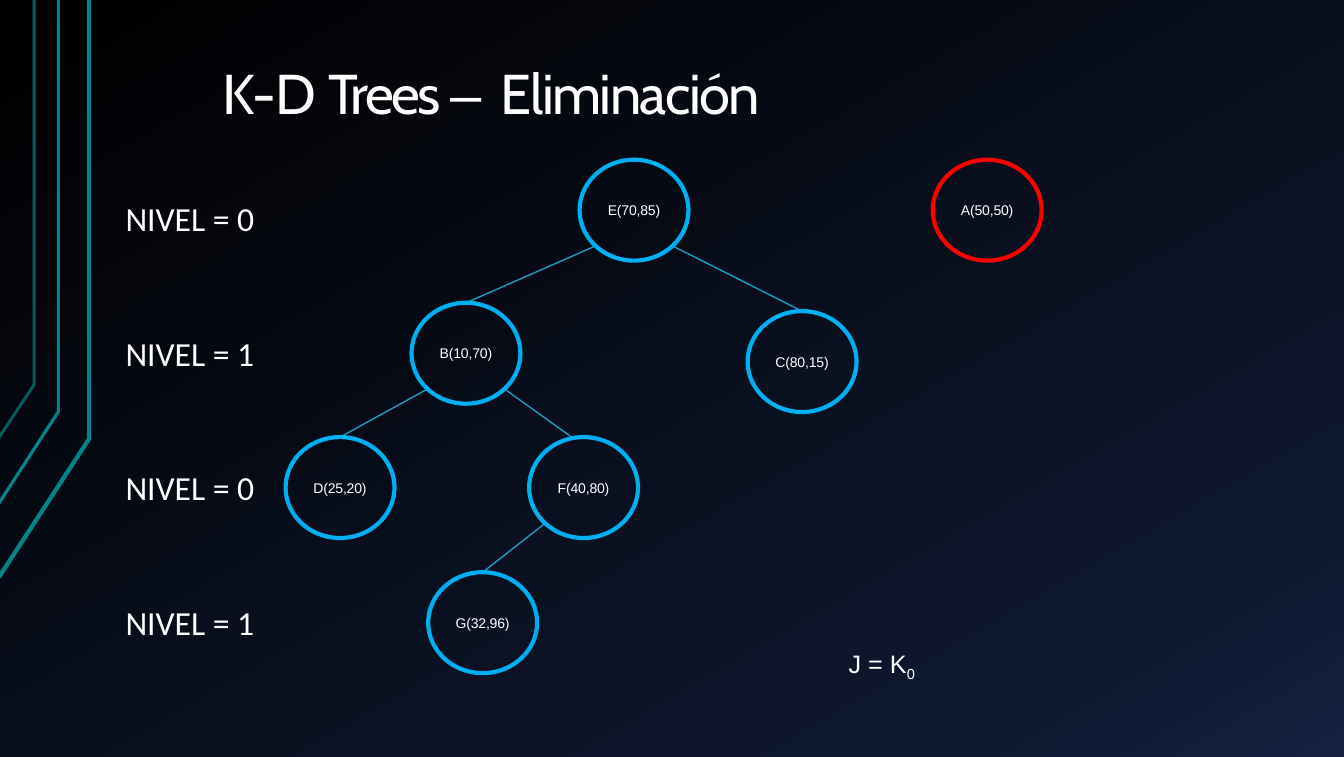
from dataclasses import dataclass
from typing import Optional

from lxml import etree
from pptx import Presentation
from pptx import util as u
from pptx.dml.color import RGBColor
from pptx.enum import shapes, text
from pptx.oxml import parse_xml
from pptx.oxml.ns import nsdecls, qn

WHITE = RGBColor(0xFF, 0xFF, 0xFF)
RING_BLUE = RGBColor(0x00, 0xAF, 0xEF)
RING_RED = RGBColor(0xFF, 0x00, 0x00)
EDGE_BLUE = RGBColor(0x20, 0x9A, 0xC1)
TEAL = RGBColor(0x00, 0x86, 0x86)
DARK_TEAL = RGBColor(0x00, 0x60, 0x60)
BACKGROUND_STOPS = [
    (0, RGBColor(0x00, 0x00, 0x00)),
    (85, RGBColor(0x0E, 0x18, 0x2F)),
    (100, RGBColor(0x14, 0x21, 0x41)),
]
BACKGROUND_ANGLE = 60

# Lengths in centimetres
NODE_W, NODE_H = 2.74, 2.54
DIAGONAL = 0.5 ** 0.5
LEVEL_LEFT, LEVEL_TOP, LEVEL_STEP = 3.03, 4.85, 3.39


@dataclass(frozen=True)
class Node:
    label: str
    cx: float
    cy: float
    color: RGBColor = RING_BLUE


@dataclass(frozen=True)
class Edge:
    parent: str
    child: str
    side: int  # -1 leaves the parent at lower left, 1 at lower right
    shift: float = 0


@dataclass(frozen=True)
class Rail:
    x: float
    bend_y: float
    end_y: float
    color: RGBColor
    width: float


@dataclass(frozen=True)
class Piece:
    text: str
    font: str
    size: float
    spacing: float = 0
    baseline: int = 0


NODES = {
    "A": Node("A(50,50)", 24.85, 5.29, RING_RED),
    "B": Node("B(10,70)", 11.73, 8.89),
    "C": Node("C(80,15)", 20.19, 9.1),
    "D": Node("D(25,20)", 8.56, 12.27),
    "E": Node("E(70,85)", 15.96, 5.29),
    "F": Node("F(40,80)", 14.69, 12.27),
    "G": Node("G(32,96)", 12.15, 15.67),
}
EDGES = [
    Edge("E", "B", -1),
    Edge("E", "C", 1),
    Edge("B", "D", -1),
    Edge("B", "F", 1, -0.3),
    Edge("F", "G", -1),
]
RAILS = [
    Rail(2.24, 11.05, 14.53, TEAL, 3),
    Rail(1.47, 10.36, 12.67, TEAL, 2.25),
    Rail(0.86, 9.68, 11.02, DARK_TEAL, 2),
]
TITLE = [
    Piece("K-D ", "Cabin", 40, -0.6),
    Piece("Trees ", "Cabin", 40, -1.8),
    Piece("– ", "Arial", 40, 1.2),
    Piece("Eliminación", "Cabin", 40, -1.1),
]
KEY = [
    Piece("J = ", "Arial", 18),
    Piece("K", "Arial", 18, -0.1),
    Piece("0", "Arial", 18, -0.1, -21),
]
LEVELS = ["NIVEL = 0", "NIVEL = 1", "NIVEL = 0", "NIVEL = 1"]


def paint_background(s) -> None:
    stops = "".join(
        f'<a:gs pos="{pos * 1000}"><a:srgbClr val="{color}"/></a:gs>'
        for pos, color in BACKGROUND_STOPS
    )
    bg = parse_xml(
        f'<p:bg {nsdecls("p", "a")}><p:bgPr><a:gradFill rotWithShape="1">'
        f'<a:gsLst>{stops}</a:gsLst><a:lin ang="{BACKGROUND_ANGLE * 60000}" scaled="0"/>'
        "</a:gradFill><a:effectLst/></p:bgPr></p:bg>"
    )
    s.element.cSld.insert(0, bg)


def set_insets(tf, inset: float) -> None:
    tf.margin_left = tf.margin_right = u.Cm(inset)
    tf.margin_top = tf.margin_bottom = u.Cm(inset)


def write(p, pieces: list[Piece]) -> None:
    for piece in pieces:
        r = p.add_run()
        r.text = piece.text
        r.font.name = piece.font
        r.font.size = u.Pt(piece.size)
        r.font.color.rgb = WHITE
        rPr = r.font._element
        if piece.spacing:
            rPr.set("spc", str(round(piece.spacing * 100)))
        if piece.baseline:
            rPr.set("baseline", str(piece.baseline * 1000))


def outline(shape, color: RGBColor, width: float) -> None:
    shape.shadow.inherit = False
    shape.fill.background()
    shape.line.color.rgb = color
    shape.line.width = u.Pt(width)


def add_rail(s, rail: Rail) -> None:
    builder = s.shapes.build_freeform(u.Cm(-0.03), u.Cm(rail.end_y))
    builder.add_line_segments(
        [(u.Cm(rail.x), u.Cm(rail.bend_y)), (u.Cm(rail.x), 0)], close=False
    )
    outline(builder.convert_to_shape(), rail.color, rail.width)


def add_node(s, node: Node) -> None:
    sp = s.shapes.add_shape(
        shapes.MSO_SHAPE.OVAL,
        u.Cm(node.cx - NODE_W / 2), u.Cm(node.cy - NODE_H / 2), u.Cm(NODE_W), u.Cm(NODE_H),
    )
    outline(sp, node.color, 3)
    tf = sp.text_frame
    tf.word_wrap = False
    tf.vertical_anchor = text.MSO_ANCHOR.MIDDLE
    set_insets(tf, 0)
    p = tf.paragraphs[0]
    p.alignment = text.PP_ALIGN.CENTER
    write(p, [Piece(node.label, "Arial", 10, -0.1)])


def add_edge(s, edge: Edge) -> None:
    parent, child = NODES[edge.parent], NODES[edge.child]
    line = s.shapes.add_connector(
        shapes.MSO_CONNECTOR.STRAIGHT,
        u.Cm(parent.cx + edge.side * NODE_W / 2 * DIAGONAL),
        u.Cm(parent.cy + NODE_H / 2 * DIAGONAL),
        u.Cm(child.cx + edge.shift),
        u.Cm(child.cy - NODE_H / 2),
    )
    line.line.color.rgb = EDGE_BLUE
    line.line.width = u.Pt(1)
    etree.SubElement(line._element.spPr, qn("a:effectLst"))


def add_text(s, left: float, top: float, width: float, height: float,
             pieces: list[Piece], inset: float = 0, leading: Optional[float] = None) -> None:
    tf = s.shapes.add_textbox(u.Cm(left), u.Cm(top), u.Cm(width), u.Cm(height)).text_frame
    tf.word_wrap = False
    set_insets(tf, inset)
    p = tf.paragraphs[0]
    if leading:
        p.line_spacing = u.Pt(leading)
    write(p, pieces)


def set_title(s) -> None:
    sp = s.shapes.title
    sp.left, sp.top, sp.width, sp.height = u.Cm(5.59), u.Cm(1.42), u.Cm(14.15), u.Cm(1.75)
    tf = sp.text_frame
    tf.auto_size = text.MSO_AUTO_SIZE.NONE
    tf.vertical_anchor = text.MSO_ANCHOR.BOTTOM
    set_insets(tf, 0)
    p = tf.paragraphs[0]
    p.alignment = text.PP_ALIGN.LEFT
    write(p, TITLE)


def main() -> None:
    prs = Presentation()
    prs.slide_width, prs.slide_height = u.Cm(33.83), u.Cm(19.05)
    s = prs.slides.add_slide(prs.slide_layouts.get_by_name("Title Only"))
    paint_background(s)
    for rail in RAILS:
        add_rail(s, rail)
    for edge in EDGES:
        add_edge(s, edge)
    for node in NODES.values():
        add_node(s, node)
    set_title(s)
    add_text(s, 21.36, 16.43, 1.78, 0.74, KEY, leading=20.9)
    for i, level in enumerate(LEVELS):
        add_text(s, LEVEL_LEFT, LEVEL_TOP + i * LEVEL_STEP, 3.53, 1.27,
                 [Piece(level, "Calibri", 24)], inset=0.13)
    prs.save("out.pptx")


if __name__ == "__main__":
    main()
